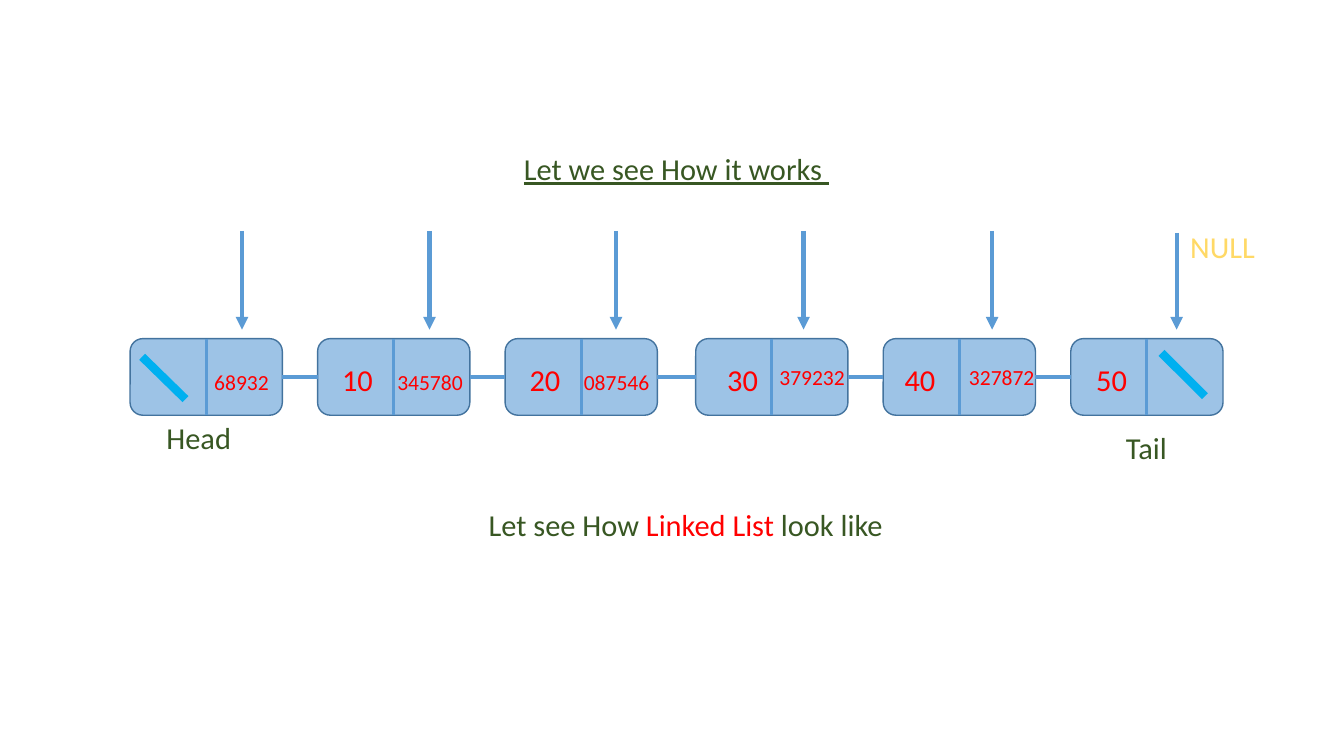
from typing import NamedTuple

from lxml.etree import SubElement as Sub
from pptx import Presentation
from pptx.dml.color import RGBColor
from pptx.enum.shapes import MSO_CONNECTOR as Link, MSO_SHAPE as Kind
from pptx.enum.text import MSO_ANCHOR as Anchor, PP_ALIGN as Align
from pptx.oxml.ns import qn
from pptx.util import Inches, Pt

SKY = RGBColor(0x9D, 0xC3, 0xE6)
EDGE = RGBColor(0x43, 0x73, 0x9E)
BLUE = RGBColor(0x5B, 0x9B, 0xD5)
CYAN = RGBColor(0x00, 0xB0, 0xF0)
GREEN = RGBColor(0x38, 0x57, 0x23)
GOLD = RGBColor(0xFF, 0xD9, 0x66)
RED = RGBColor(0xFF, 0x00, 0x00)

TOP, WIDE, HIGH = 3.36, 1.51, 0.76
MID = TOP + HIGH / 2
BIG, SMALL = 21.7, 15.4
FIELD = 1.05


class Node(NamedTuple):
    """A list node: its left edge, arrow and the text of both halves."""
    left: float
    arrow: float
    start: float = 2.29
    value: str = ""
    value_x: float = 0
    link: str = ""
    link_x: float = 0
    link_y: float = 3.68


class Label(NamedTuple):
    """A line of text in its box, as (text, colour) runs."""
    left: float
    top: float
    width: float
    runs: tuple[tuple[str, RGBColor], ...]
    size: float = BIG
    under: bool = False


NODES = [
    Node(1.29, 2.4, link="68932", link_x=1.87),
    Node(3.15, 4.26, value="10", value_x=3.02, link="345780", link_x=3.74),
    Node(5.01, 6.11, value="20", value_x=4.88, link="087546", link_x=5.59),
    Node(6.9, 7.97, value="30", value_x=6.84, link="379232", link_x=7.53, link_y=3.63),
    Node(8.76, 9.84, value="40", value_x=8.6, link="327872", link_x=9.41, link_y=3.63),
    Node(10.62, 11.67, start=2.31, value="50", value_x=10.5),
]
LABELS = [
    Label(4.46, 1.54, 4.5, (("Let we see How it works ", GREEN),), under=True),
    Label(11.34, 2.31, 1.57, (("NULL", GOLD),)),
    Label(1.22, 4.21, 1.57, (("Head ", GREEN),)),
    Label(10.62, 4.31, 1.57, (("Tail ", GREEN),)),
    Label(4.09, 5.07, 5.42, (("Let see How ", GREEN), ("Linked List", RED),
                             (" look like", GREEN))),
]
SLASHES = [(1.41, 3.54, 1.84, 3.96), (11.52, 3.5, 11.95, 3.93)]


def draw_line(slide, ends: tuple[float, ...], color: RGBColor = BLUE,
              weight: float = 2.25, head: bool = False) -> None:
    """Draw a straight line, with an arrowhead at its end if asked."""
    line = slide.shapes.add_connector(Link.STRAIGHT, *map(Inches, ends))
    line.line.color.rgb = color
    line.line.width = Pt(weight)
    if head:
        Sub(line.line._get_or_add_ln(), qn("a:tailEnd"), type="triangle")
    Sub(line._element.spPr, qn("a:effectLst"))


def draw_label(slide, label: Label) -> None:
    """Write a centred line of text."""
    high = 0.38 if label.size == BIG else 0.28
    box = slide.shapes.add_textbox(
        *map(Inches, (label.left, label.top, label.width, high)))
    frame = box.text_frame
    frame.word_wrap = True
    frame.vertical_anchor = Anchor.TOP
    para = frame.paragraphs[0]
    para.alignment = Align.CENTER
    para.line_spacing = 0.7
    style = {"name": "Calibri", "size": Pt(label.size), "underline": label.under}
    for text, color in label.runs:
        run = para.add_run()
        run.text = text
        run.font.color.rgb = color
        for key, value in style.items():
            setattr(run.font, key, value)


def draw_node(slide, node: Node) -> None:
    """Draw a split box with its arrow and its two fields."""
    box = slide.shapes.add_shape(
        Kind.ROUNDED_RECTANGLE, *map(Inches, (node.left, TOP, WIDE, HIGH)))
    box.shadow.inherit = False
    box.fill.solid()
    box.fill.fore_color.rgb = SKY
    box.line.color.rgb = EDGE
    box.line.width = Pt(1)
    split = node.left + WIDE / 2
    draw_line(slide, (split, TOP, split, TOP + HIGH))
    draw_line(slide, (node.arrow, node.start, node.arrow, 3.27), weight=3, head=True)
    if node.value:
        draw_label(slide, Label(node.value_x, 3.63, FIELD, ((node.value, RED),)))
    if node.link:
        draw_label(slide, Label(node.link_x, node.link_y, FIELD,
                                ((node.link, RED),), SMALL))


def main() -> None:
    """Build the linked list slide and save it."""
    deck = Presentation()
    deck.slide_width, deck.slide_height = Inches(13.33), Inches(7.5)
    slide = deck.slides.add_slide(deck.slide_layouts[6])
    for node in NODES:
        draw_node(slide, node)
    for node, after in zip(NODES, NODES[1:]):
        draw_line(slide, (node.left + WIDE, MID, after.left, MID))
    for ends in SLASHES:
        draw_line(slide, ends, CYAN, 6)
    for label in LABELS:
        draw_label(slide, label)
    deck.save("out.pptx")


main()
